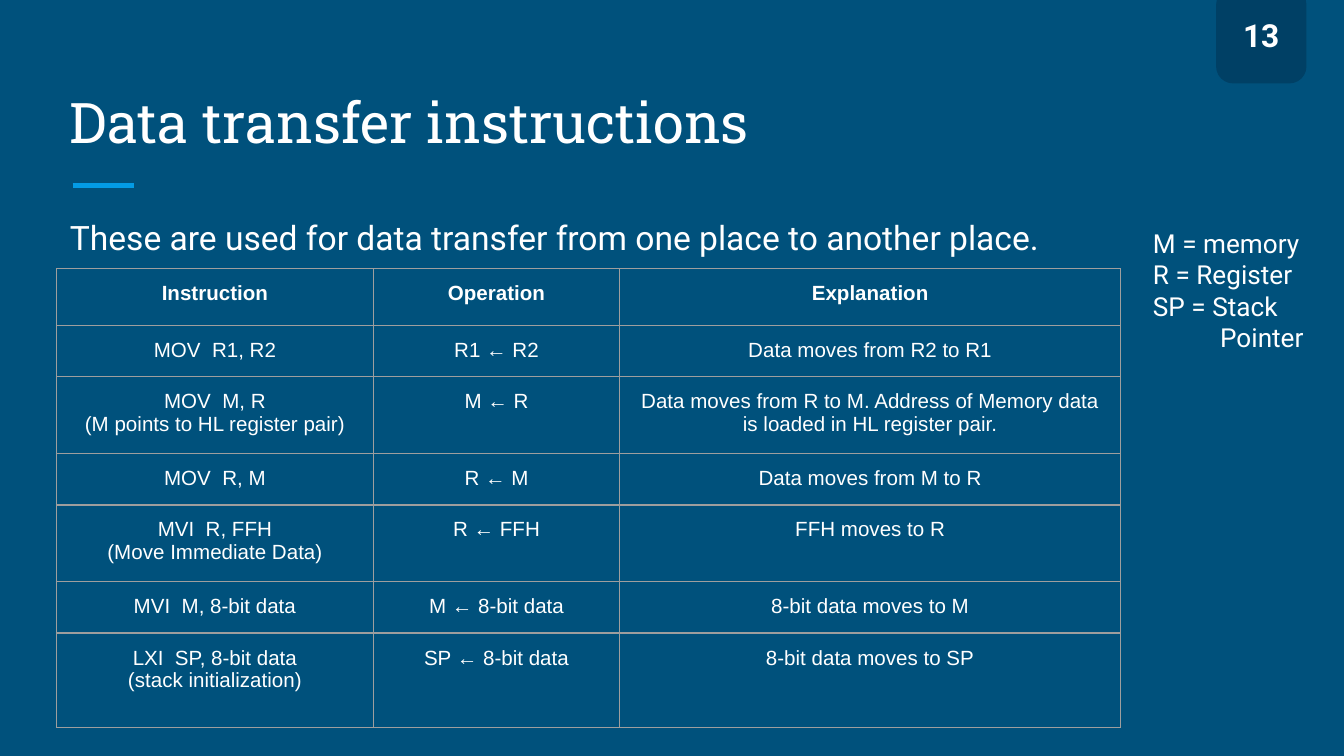
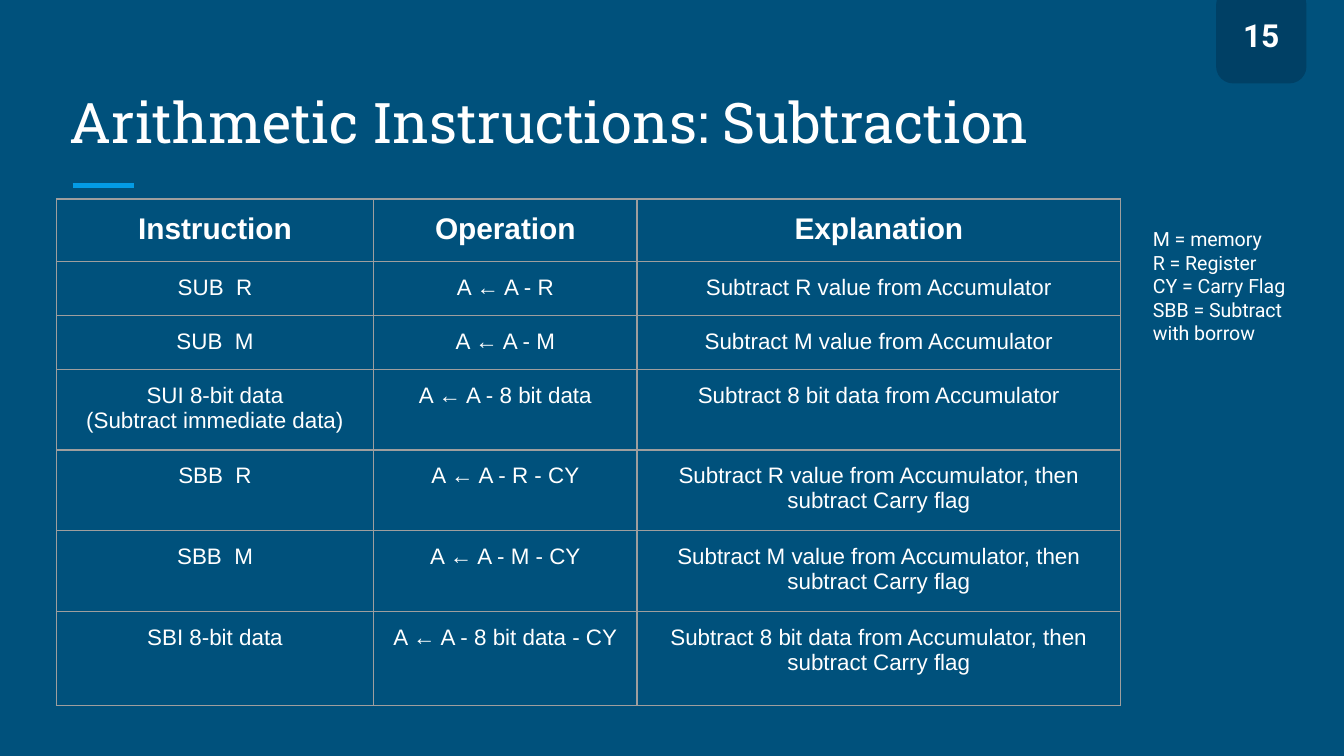
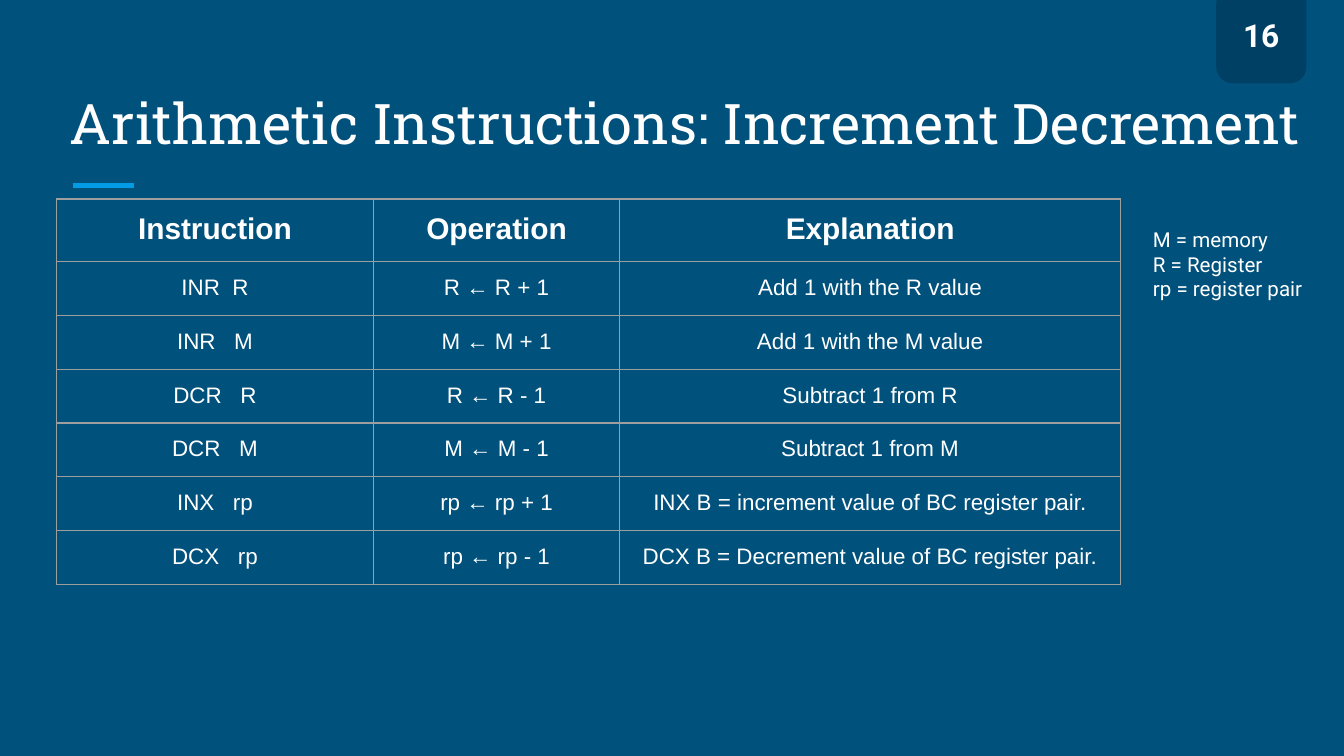
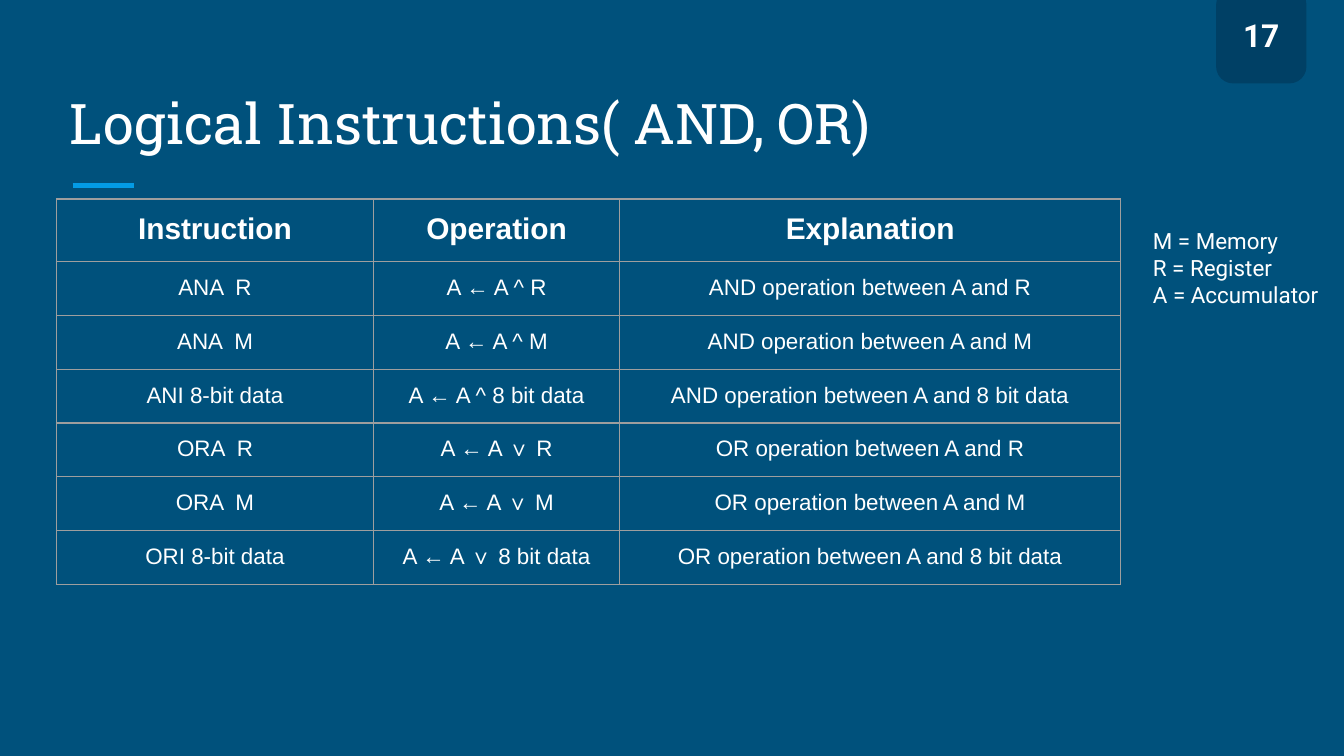
from lxml.etree import SubElement
from pptx import Presentation
from pptx.dml.color import RGBColor
from pptx.enum.shapes import MSO_CONNECTOR, MSO_SHAPE
from pptx.enum.text import MSO_ANCHOR, MSO_AUTO_SIZE, PP_ALIGN
from pptx.oxml.ns import qn
from pptx.util import Inches, Pt

BACKGROUND = RGBColor(0x00, 0x51, 0x7C)
NUMBER_TAB = RGBColor(0x00, 0x40, 0x65)
ACCENT = RGBColor(0x03, 0x9B, 0xE5)
WHITE = RGBColor(0xFF, 0xFF, 0xFF)
BORDER = RGBColor(0x9E, 0x9E, 0x9E)

SLIDE_WIDTH = Inches(10)
SLIDE_HEIGHT = SLIDE_WIDTH * 9 // 16
HEADER = ("Instruction", "Operation", "Explanation")
LEFT = 0.42
INSET = 0.1
TITLE_ONLY, TITLE_AND_BODY = 5, 1

# Table heights are (header row, one-line row, two-line row, last row).
SLIDES = [
    {
        "number": "13",
        "title": "Data transfer instructions",
        "title_box": (LEFT, 0.5, 8.81, 0.75),
        "intro": "These are used for data transfer from one place to another place.",
        "table_top": 2,
        "columns": (2.36, 1.83, 3.73),
        "heights": (0.42, 0.38, 0.57, 0.7),
        "sizes": (11, 11),
        "two_line_rows": (2, 4),
        "rows": [
            ("MOV  R1, R2", "R1 ← R2", "Data moves from R2 to R1"),
            ("MOV  M, R\n(M points to HL register pair)", "M ← R",
             "Data moves from R to M. Address of Memory data is loaded in HL register pair."),
            ("MOV  R, M", "R ← M", "Data moves from M to R"),
            ("MVI  R, FFH\n(Move Immediate Data)", "R ← FFH", "FFH moves to R"),
            ("MVI  M, 8-bit data", "M ← 8-bit data", "8-bit data moves to M"),
            ("LXI  SP, 8-bit data\n(stack initialization)", "SP ← 8-bit data",
             "8-bit data moves to SP"),
        ],
        "legend": "M = memory\nR = Register\nSP = Stack\nPointer",
        "legend_size": 14,
        "legend_box": (1.42, 1.38),
        "indented": ("Pointer",),
    },
    {
        "number": "15",
        "title": "Arithmetic Instructions: Subtraction",
        "title_box": (LEFT, 0.5, 8.81, 0.75),
        "table_top": 1.48,
        "columns": (2.36, 1.96, 3.6),
        "heights": (0.46, 0.4, 0.6, 0.7),
        "sizes": (16, 12),
        "two_line_rows": (3, 4, 5),
        "rows": [
            ("SUB  R", "A ← A - R", "Subtract R value from Accumulator"),
            ("SUB  M", "A ← A - M", "Subtract M value from Accumulator"),
            ("SUI 8-bit data\n(Subtract immediate data)", "A ← A - 8 bit data",
             "Subtract 8 bit data from Accumulator"),
            ("SBB  R", "A ← A - R - CY",
             "Subtract R value from Accumulator, then subtract Carry flag"),
            ("SBB  M", "A ← A - M - CY",
             "Subtract M value from Accumulator, then subtract Carry flag"),
            ("SBI 8-bit data", "A ← A - 8 bit data - CY",
             "Subtract 8 bit data from Accumulator, then subtract Carry flag"),
        ],
        "legend": "M = memory\nR = Register\nCY = Carry Flag\nSBB = Subtract with borrow",
        "legend_size": 10.5,
        "legend_box": (1.42, 1.09),
    },
    {
        "number": "16",
        "title": "Arithmetic Instructions: Increment Decrement",
        "title_box": (LEFT, 0.51, 9.37, 0.75),
        "table_top": 1.48,
        "columns": (2.36, 1.83, 3.73),
        "heights": (0.46, 0.4, 0.6, 0.4),
        "sizes": (16, 12),
        "rows": [
            ("INR  R", "R ← R + 1", "Add 1 with the R value"),
            ("INR   M", "M ← M + 1", "Add 1 with the M value"),
            ("DCR   R", "R ← R - 1", "Subtract 1 from R"),
            ("DCR   M", "M ← M - 1", "Subtract 1 from M"),
            ("INX   rp", "rp ← rp + 1", "INX B = increment value of BC register pair."),
            ("DCX   rp", "rp ← rp - 1", "DCX B = Decrement value of BC register pair."),
        ],
        "legend": "M = memory\nR = Register\nrp = register pair",
        "legend_size": 11,
        "legend_box": (1.42, 0.76),
    },
    {
        "number": "17",
        "title": "Logical Instructions( AND, OR)",
        "title_box": (LEFT, 0.51, 9.37, 0.75),
        "table_top": 1.48,
        "columns": (2.36, 1.83, 3.73),
        "heights": (0.46, 0.4, 0.6, 0.4),
        "sizes": (16, 12),
        "rows": [
            ("ANA  R", "A ← A ^ R", "AND operation between A and R"),
            ("ANA  M", "A ← A ^ M", "AND operation between A and M"),
            ("ANI 8-bit data", "A ← A ^ 8 bit data", "AND operation between A and 8 bit data"),
            ("ORA  R", "A ← A ∨ R", "OR operation between A and R"),
            ("ORA  M", "A ← A ∨ M", "OR operation between A and M"),
            ("ORI 8-bit data", "A ← A ∨ 8 bit data", "OR operation between A and 8 bit data"),
        ],
        "legend": "M = Memory\nR = Register\nA = Accumulator",
        "legend_size": 12,
        "legend_box": (1.52, 1.04),
    },
]


def write(frame, text, *, size, font="Roboto", bold=False, align=PP_ALIGN.LEFT,
          spacing=1.0, indented=()):
    """Fill a text frame, one paragraph per line; lines in indented start half an inch in."""
    frame.word_wrap = True
    frame.margin_left = frame.margin_right = Inches(INSET)
    frame.margin_top = frame.margin_bottom = Inches(INSET)
    for index, line in enumerate(text.split("\n")):
        para = frame.add_paragraph() if index else frame.paragraphs[0]
        para.alignment = align
        para.line_spacing = spacing
        para.space_before = para.space_after = Pt(0)
        properties = para._p.get_or_add_pPr()
        properties.set("marL", "0")
        properties.set("indent", str(Inches(0.5 if line in indented else 0)))
        SubElement(properties, qn("a:buNone"))
        span = para.add_run()
        span.text = line
        span.font.name = font
        span.font.size = Pt(size)
        span.font.bold = bold
        span.font.color.rgb = WHITE


def fill_placeholder(holder, box, text, anchor, **text_format):
    holder.left, holder.top, holder.width, holder.height = map(Inches, box)
    holder.text_frame.auto_size = MSO_AUTO_SIZE.NONE
    holder.text_frame.vertical_anchor = anchor
    write(holder.text_frame, text, **text_format)


def add_text(page, box, text, **text_format):
    frame = page.shapes.add_textbox(*map(Inches, box)).text_frame
    write(frame, text, **text_format)
    frame.auto_size = MSO_AUTO_SIZE.SHAPE_TO_FIT_TEXT


def add_title_rule(page):
    rule = page.shapes.add_connector(
        MSO_CONNECTOR.STRAIGHT, Inches(0.54), Inches(1.38), Inches(1), Inches(1.38))
    rule.line.color.rgb = ACCENT
    rule.line.width = Pt(3)
    SubElement(rule._element.spPr, qn("a:effectLst"))


def add_number_tab(page, number):
    left, width = 9.07, 0.63
    tab = page.shapes.add_shape(
        MSO_SHAPE.ROUNDED_RECTANGLE, *map(Inches, (left, -0.07, width, 0.67)))
    tab.shadow.inherit = False
    tab.fill.solid()
    tab.fill.fore_color.rgb = tab.line.color.rgb = NUMBER_TAB
    tab.line.width = Pt(3)
    add_text(page, (left, 0.02, width, 0.49), number, size=17, bold=True,
             align=PP_ALIGN.CENTER)


def add_borders(cell):
    properties = cell._tc.get_or_add_tcPr()
    for index, side in enumerate(("lnL", "lnR", "lnT", "lnB")):
        line = properties.makeelement(qn(f"a:{side}"), {"w": str(Pt(0.75))})
        fill = SubElement(line, qn("a:solidFill"))
        SubElement(fill, qn("a:srgbClr"), val=str(BORDER))
        properties.insert(index, line)


def add_instruction_table(page, content):
    rows = [HEADER, *content["rows"]]
    columns = content["columns"]
    header_height, one_line, two_lines, last = content["heights"]
    doubled = content.get("two_line_rows", ())
    middle = [two_lines if index in doubled else one_line for index in range(1, len(rows) - 1)]
    heights = [header_height, *middle, last]
    box = (LEFT, content["table_top"], sum(columns), sum(heights))
    table = page.shapes.add_table(len(rows), len(columns), *map(Inches, box)).table
    table.first_row = table.horz_banding = False
    for column, width in zip(table.columns, columns):
        column.width = Inches(width)
    header_size, body_size = content["sizes"]
    for index, (texts, height) in enumerate(zip(rows, heights)):
        table.rows[index].height = Inches(height)
        is_header = index == 0
        for cell, text in zip(table.rows[index].cells, texts):
            cell.margin_left = cell.margin_right = Inches(INSET)
            cell.margin_top = cell.margin_bottom = Inches(INSET)
            cell.fill.background()
            add_borders(cell)
            write(cell.text_frame, text, font="Arial", bold=is_header,
                  size=header_size if is_header else body_size, align=PP_ALIGN.CENTER)


def build_page(deck, content):
    intro = content.get("intro")
    page = deck.slides.add_slide(deck.slide_layouts[TITLE_AND_BODY if intro else TITLE_ONLY])
    add_title_rule(page)
    fill_placeholder(page.shapes.title, content["title_box"], content["title"],
                     MSO_ANCHOR.BOTTOM, size=30, font="Roboto Slab")
    if intro:
        fill_placeholder(page.placeholders[1], (LEFT, 1.47, 8.76, 0.64), intro,
                         MSO_ANCHOR.TOP, size=18, align=PP_ALIGN.JUSTIFY, spacing=1.15)
    add_number_tab(page, content["number"])
    add_instruction_table(page, content)
    add_text(page, (8.48, 1.59, *content["legend_box"]), content["legend"],
             size=content["legend_size"], indented=content.get("indented", ()))


def main():
    deck = Presentation()
    deck.slide_width, deck.slide_height = SLIDE_WIDTH, SLIDE_HEIGHT
    backdrop = deck.slide_master.background.fill
    backdrop.solid()
    backdrop.fore_color.rgb = BACKGROUND
    for content in SLIDES:
        build_page(deck, content)
    deck.save("out.pptx")


if __name__ == "__main__":
    main()
